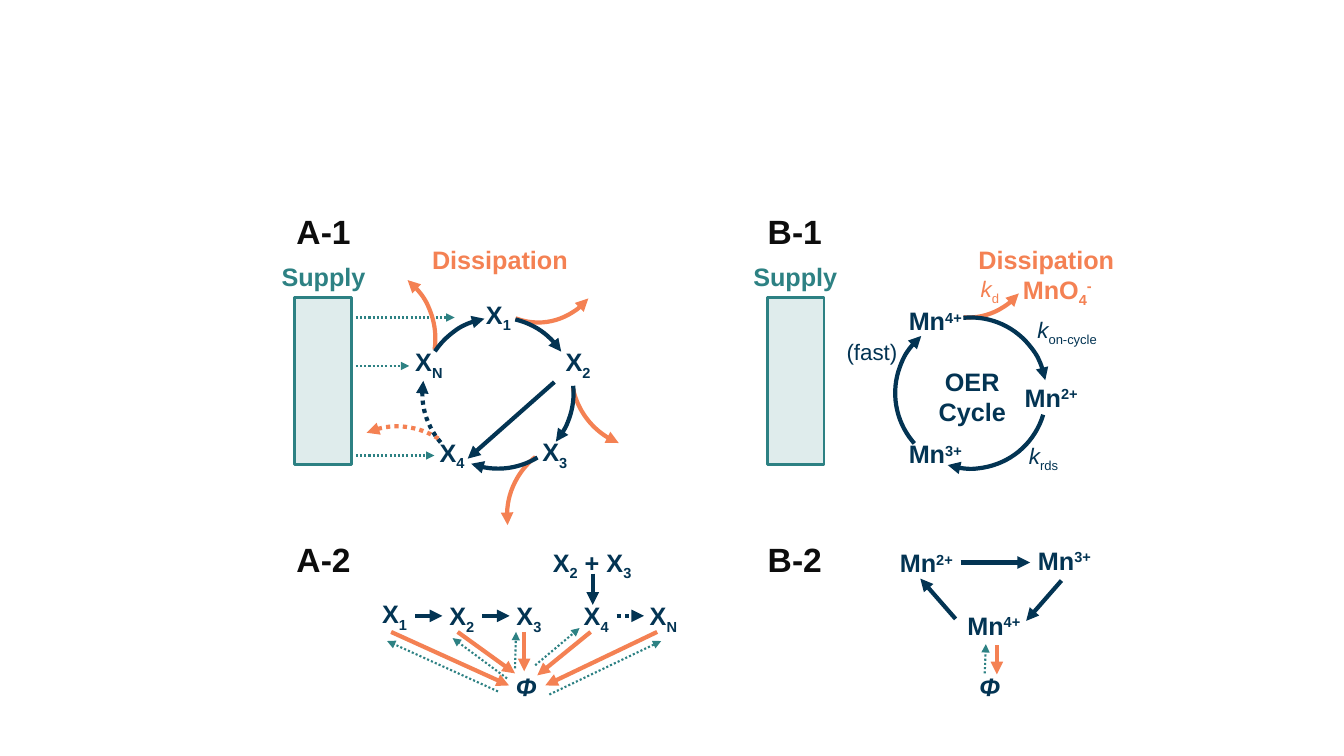
"""Draw the reaction cycle schemes A and B with their network forms."""
import pptx
import pptx.dml.color
import pptx.enum.dml
import pptx.enum.shapes
import pptx.enum.text
import pptx.oxml
import pptx.oxml.ns
import pptx.util

Pt = pptx.util.Pt
NAVY, TEAL, ORANGE, BLACK = "033453", "2D8183", "F48153", "0D0D0D"
BASELINES = {"_": "-25000", "^": "30000"}


def color(value):
    return pptx.dml.color.RGBColor.from_string(value)


def apply(target, values):
    for name, value in values.items():
        setattr(target, name, value)


class Scheme:
    def __init__(self, presentation):
        self.slide = presentation.slides.add_slide(presentation.slide_layouts[6])
        self.font = {"name": "Arial", "size": Pt(18), "bold": True}
        self.frame = {"word_wrap": True,
                      "auto_size": pptx.enum.text.MSO_AUTO_SIZE.SHAPE_TO_FIT_TEXT}
        self.align = {"left": pptx.enum.text.PP_ALIGN.LEFT,
                      "center": pptx.enum.text.PP_ALIGN.CENTER,
                      "right": pptx.enum.text.PP_ALIGN.RIGHT}

    def text(self, box, lines, ink=NAVY, align="center", padding=(0, 0), **font):
        shape = self.slide.shapes.add_textbox(*map(Pt, box))
        side, edge = map(Pt, padding)
        apply(shape.text_frame, {**self.frame, "margin_left": side, "margin_right": side,
                                 "margin_top": edge, "margin_bottom": edge})
        for index, line in enumerate(lines.split("\n")):
            paragraphs = shape.text_frame.paragraphs
            paragraph = shape.text_frame.add_paragraph() if index else paragraphs[0]
            paragraph.alignment = self.align[align]
            for part in line.split("|"):
                baseline = BASELINES.get(part[0])
                run = paragraph.add_run()
                run.text = part[1:] if baseline else part
                apply(run.font, {**self.font, **font})
                run.font.color.rgb = color(ink)
                if baseline:
                    run.font.italic = False
                    run.font._element.set("baseline", baseline)

    def rate(self, box, lines, ink=NAVY, italic=True, align="left", padding=(7.2, 3.6)):
        self.text(box, lines, ink, align, padding, size=Pt(16), bold=False, italic=italic)

    def stroke(self, line, ink, width, dotted, end):
        line.color.rgb = color(ink)
        line.width = Pt(width)
        if dotted:
            line.dash_style = pptx.enum.dml.MSO_LINE.ROUND_DOT
        if end:
            tip = pptx.oxml.parse_xml(
                f'<a:{end} {pptx.oxml.ns.nsdecls("a")} type="triangle"/>')
            line._get_or_add_ln().append(tip)

    def arrow(self, start, finish, ink=NAVY, width=3, dotted=False):
        connector = self.slide.shapes.add_connector(
            pptx.enum.shapes.MSO_CONNECTOR.STRAIGHT, *map(Pt, (*start, *finish)))
        self.stroke(connector.line, ink, width, dotted, "tailEnd")
        connector._element.spPr.append(
            pptx.oxml.parse_xml(f'<a:effectLst {pptx.oxml.ns.nsdecls("a")}/>'))

    def supply_arrow(self, start, finish):
        self.arrow(start, finish, TEAL, 1.5, True)

    def arc(self, corner, bounds, rotation=0, ink=NAVY, dotted=False, width=108):
        shape = self.slide.shapes.add_shape(
            pptx.enum.shapes.MSO_SHAPE.ARC, *map(Pt, (*corner, width, 108)))
        for index, bound in enumerate(bounds):
            shape.adjustments[index] = bound
        shape.rotation = rotation
        shape.shadow.inherit = False
        shape.fill.background()
        self.stroke(shape.line, ink, 3, dotted, "tailEnd" if ink == NAVY else "headEnd")

    def supply_bar(self, left):
        shape = self.slide.shapes.add_shape(
            pptx.enum.shapes.MSO_SHAPE.RECTANGLE, *map(Pt, (left, 212.4, 40.3, 119.5)))
        shape.shadow.inherit = False
        shape.fill.solid()
        shape.fill.fore_color.rgb = color(TEAL)
        shape._element.spPr.find(".//" + pptx.oxml.ns.qn("a:srgbClr")).append(
            pptx.oxml.parse_xml(f'<a:alpha {pptx.oxml.ns.nsdecls("a")} val="15000"/>'))
        self.stroke(shape.line, TEAL, 2, False, None)

    def species(self, left, top, label):
        self.text((left, top, 28.1, 27.4), f"X|_{label}")

    def manganese(self, left, top, charge):
        self.text((left, top, 51.8, 21.6), f"Mn|^{charge}")


def draw_panel_frames(scheme):
    for letter, left, width, supply, dissipation in (
            ("A", 210.2, 41.8, (200.9, 60.5), 303.1), ("B", 547.9, 39.6, (514.1, 108), 693.4)):
        scheme.supply_bar(left + 0.4)
        scheme.text((supply[0], 186.5, supply[1], 21.6), "Supply", TEAL)
        scheme.text((dissipation, 174.2, 108, 21.6), "Dissipation", ORANGE)
        for number, top in ((1, 150.5), (2, 385.2)):
            scheme.text((left, top, width, 28.8), f"{letter}-{number}", BLACK, size=Pt(24))


def draw_general_cycle(scheme):
    for top, finish in ((226.8, 324.7), (261.4, 292.3), (325.4, 310.3)):
        scheme.supply_arrow((254.2, top), (finish, top))
    for corner, bounds, rotation, dotted, width in (
            ((203, 187.9), (197.13, 16.55), 340.7, False, 108),
            ((408.2, 212.4), (67.17, 101.1), 0, False, 108),
            ((362.2, 314.6), (103.85, 138.83), 0, False, 108),
            ((229.7, 304.6), (159.35, 194.86), 340.7, True, 108),
            ((335.5, 122.4), (27.49, 64.5), 0, False, 97.9)):
        scheme.arc(corner, bounds, rotation, ORANGE, dotted, width)
    for bounds, rotation, dotted in (
            ((182.35, 209.63), 50.6, False), ((139.6, 165.68), 50.6, False),
            ((63.93, 93.97), 32.7, True), ((10.61, 41.94), 40.8, False),
            ((97.75, 125.42), 50.6, False)):
        scheme.arc((301.7, 226.8), bounds, rotation, dotted=dotted)
    scheme.arrow((396, 272.9), (334.1, 327.6))
    for left, top, label in ((342, 213.8, "1"), (398.9, 247.7, "2"), (382.3, 311.8, "3"),
                             (308.9, 312.5, "4"), (292.3, 247.7, "N")):
        scheme.species(left, top, label)


def draw_oer_cycle(scheme):
    scheme.arc((643, 118.8), (27.49, 56.19), ink=ORANGE, width=97.9)
    for bounds in ((195.61, 34.26), (128.25, 179.73), (52.57, 107.08)):
        scheme.arc((639.4, 226.8), bounds, 50.6)
    for left, top, charge in ((725, 272.9, "2+"), (642.2, 313.2, "3+"), (642.2, 218.2, "4+")):
        scheme.manganese(left, top, charge)
    scheme.text((661.7, 261.4, 65.5, 43.9), "OER\nCycle")
    scheme.text((724.3, 195.8, 61.9, 21.6), "MnO|_4|^-", ORANGE)
    scheme.rate((597.6, 238.3, 64.1, 26.6), "(fast)", italic=False)
    scheme.rate((719.3, 226.1, 64.1, 19.4), "k|_on-cycle", align="right", padding=(0, 0))
    scheme.rate((693.4, 193, 43.2, 26.6), "k|_d", ORANGE)
    scheme.rate((727.9, 312.5, 41.8, 26.6), "k|_rds")


def draw_general_network(scheme):
    for index, label in enumerate("1234N"):
        scheme.species(267.8 + 48 * index, 429.1 if index else 427.7, label)
    for index, dotted in ((0, False), (1, False), (3, True)):
        left = 296.5 + 48 * index
        scheme.arrow((left, 439.9), (left + 19.5, 439.9), dotted=dotted)
    sinks = ((363.6, 489.6), (367.9, 481), (374.4, 479.5), (383.8, 482.4), (389.5, 489.6))
    for index, sink in enumerate(sinks):
        scheme.arrow((279.4 + 47.5 * index, 451.4), sink, ORANGE)
    for start, finish in (
            ((355.7, 493.9), (276.5, 457.9)), ((362.2, 484.6), (323.3, 455.8)),
            ((367.9, 477.4), (368.6, 451.4)), ((382.3, 475.2), (414, 448.6)),
            ((392.4, 496.1), (472.3, 457.9))):
        scheme.supply_arrow(start, finish)
    scheme.text((390.2, 391, 65.5, 21.6), "X|_2| + X|_3")
    scheme.arrow((423.4, 409.7), (423.4, 432))
    scheme.text((344.9, 479.5, 61.9, 21.6), "Φ", italic=True)


def draw_oer_network(scheme):
    for left, top, charge in ((635.8, 391, "2+"), (734.4, 389.5, "3+"), (684, 435.6, "4+")):
        scheme.manganese(left, top, charge)
    for start, finish in (((686.2, 401.8), (735.8, 401.8)), ((758.2, 414.7), (733, 443.5)),
                          ((682.6, 442.1), (657.4, 413.3))):
        scheme.arrow(start, finish)
    scheme.arrow((712.1, 460.8), (712.1, 481.7), ORANGE)
    scheme.supply_arrow((703.4, 481), (704.2, 460.1))
    scheme.text((676.1, 479.5, 61.9, 21.6), "Φ", italic=True)


def main():
    presentation = pptx.Presentation()
    apply(presentation, {"slide_width": Pt(960), "slide_height": Pt(540)})
    scheme = Scheme(presentation)
    for draw in (draw_panel_frames, draw_general_cycle, draw_oer_cycle,
                 draw_general_network, draw_oer_network):
        draw(scheme)
    presentation.save("out.pptx")


if __name__ == "__main__":
    main()
